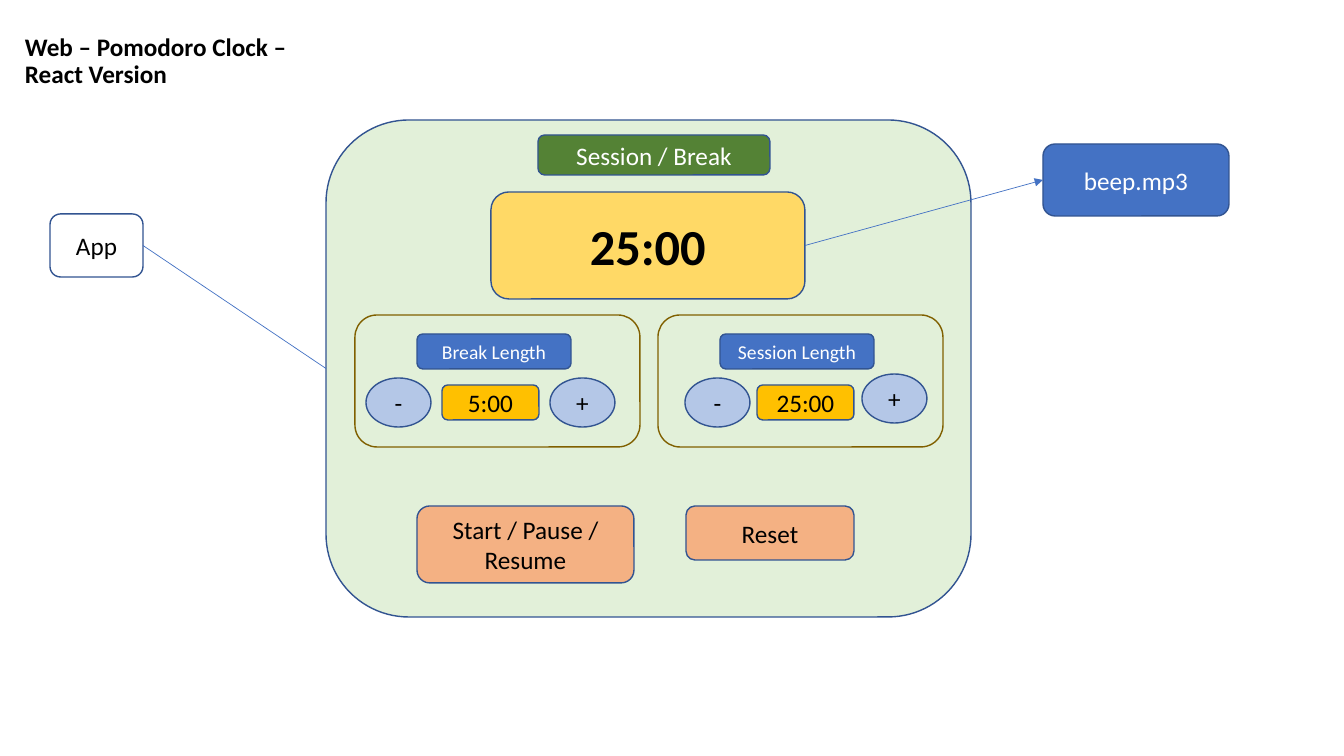
"""Build the wireframe slide of a Pomodoro clock and its parts."""
from lxml import etree
from pptx import Presentation
from pptx.dml.color import RGBColor
from pptx.enum.shapes import MSO_CONNECTOR, MSO_SHAPE
from pptx.enum.text import MSO_ANCHOR, PP_ALIGN
from pptx.oxml.ns import qn
from pptx.util import Pt

EMU_PER_PIXEL = 914400 / 100.8
FONT = "Calibri"
ROUNDED = MSO_SHAPE.ROUNDED_RECTANGLE
OVAL = MSO_SHAPE.OVAL
STRAIGHT = MSO_CONNECTOR.STRAIGHT
MIDDLE = MSO_ANCHOR.MIDDLE
CENTER = PP_ALIGN.CENTER
LEFT_SITE, RIGHT_SITE = 1, 3
COLORS = {
    "black": "000000", "white": "FFFFFF", "outline": "325491",
    "blue": "4472C4", "pale_blue": "B4C7E7", "pale_green": "E2F0D9",
    "green": "548235", "yellow": "FFD966", "gold": "FFC000",
    "orange": "F4B183", "brown": "806000",
}


def px(*lengths):
    return [round(length * EMU_PER_PIXEL) for length in lengths]


def color(name):
    return RGBColor.from_string(COLORS[name])


def write(shape, text, size, ink, bold=False):
    frame = shape.text_frame
    frame.word_wrap = True
    frame.vertical_anchor = MIDDLE
    frame.text = text
    para = frame.paragraphs[0]
    for span in para.runs:
        span.font.name = FONT
        span.font.size = Pt(size)
        span.font.bold = bold
        span.font.color.rgb = color(ink)
    return para


def add_title(page, text, bounds):
    box = page.shapes.add_textbox(*px(*bounds))
    write(box, text, 18, "black", bold=True).line_spacing = 0.9


def add_box(page, bounds, fill=None, text="", size=18, ink="black",
            bold=False, kind=ROUNDED, outline="outline"):
    box = page.shapes.add_shape(kind, *px(*bounds))
    box.shadow.inherit = False
    if fill:
        box.fill.solid()
        box.fill.fore_color.rgb = color(fill)
    else:
        box.fill.background()
    box.line.color.rgb = color(outline)
    box.line.width = Pt(1)
    if text:
        write(box, text, size, ink, bold).alignment = CENTER
    return box


def add_link(page, source, target, arrow=False):
    link = page.shapes.add_connector(STRAIGHT, 0, 0, 0, 0)
    link.begin_connect(source, RIGHT_SITE)
    link.end_connect(target, LEFT_SITE)
    link.line.color.rgb = color("blue")
    link.line.width = Pt(0.5)
    if arrow:
        line = link._element.spPr.find(qn("a:ln"))
        etree.SubElement(line, qn("a:tailEnd"), type="triangle")
    etree.SubElement(link._element.spPr, qn("a:effectLst"))


def add_length_control(page, left, label, value, minus_left, value_left, plus_spot):
    add_box(page, (left + 62, 334, 154, 35), "blue", label, 14, "white")
    for sign, spot in (("-", (minus_left, 378)), ("+", plus_spot)):
        add_box(page, (*spot, 65, 49), "pale_blue", sign, kind=OVAL)
    add_box(page, (value_left, 385, 97, 35), "gold", value)
    add_box(page, (left, 315, 285, 132), outline="brown")


def main():
    deck = Presentation()
    deck.slide_width, deck.slide_height = px(1344, 756)
    page = deck.slides.add_slide(deck.slide_layouts[6])

    add_title(page, "Web – Pomodoro Clock – React Version", (15, 16, 287, 92))
    clock = add_box(page, (326, 120, 645, 497), "pale_green")
    app = add_box(page, (50, 214, 93, 63), "white", "App")
    add_link(page, app, clock)

    display = add_box(page, (491, 192, 314, 107), "yellow", "25:00", 36, bold=True)
    add_box(page, (538, 135, 232, 40), "green", "Session / Break", ink="white")
    add_length_control(page, 355, "Break Length", "5:00", 366, 442, (550, 378))
    add_length_control(page, 658, "Session Length", "25:00", 685, 757, (862, 374))
    add_box(page, (417, 506, 217, 77), "orange", "Start / Pause / Resume")
    add_box(page, (686, 506, 168, 54), "orange", "Reset")

    beep = add_box(page, (1043, 144, 186, 72), "blue", "beep.mp3", ink="white")
    add_link(page, display, beep, arrow=True)

    deck.save("out.pptx")


if __name__ == "__main__":
    main()
